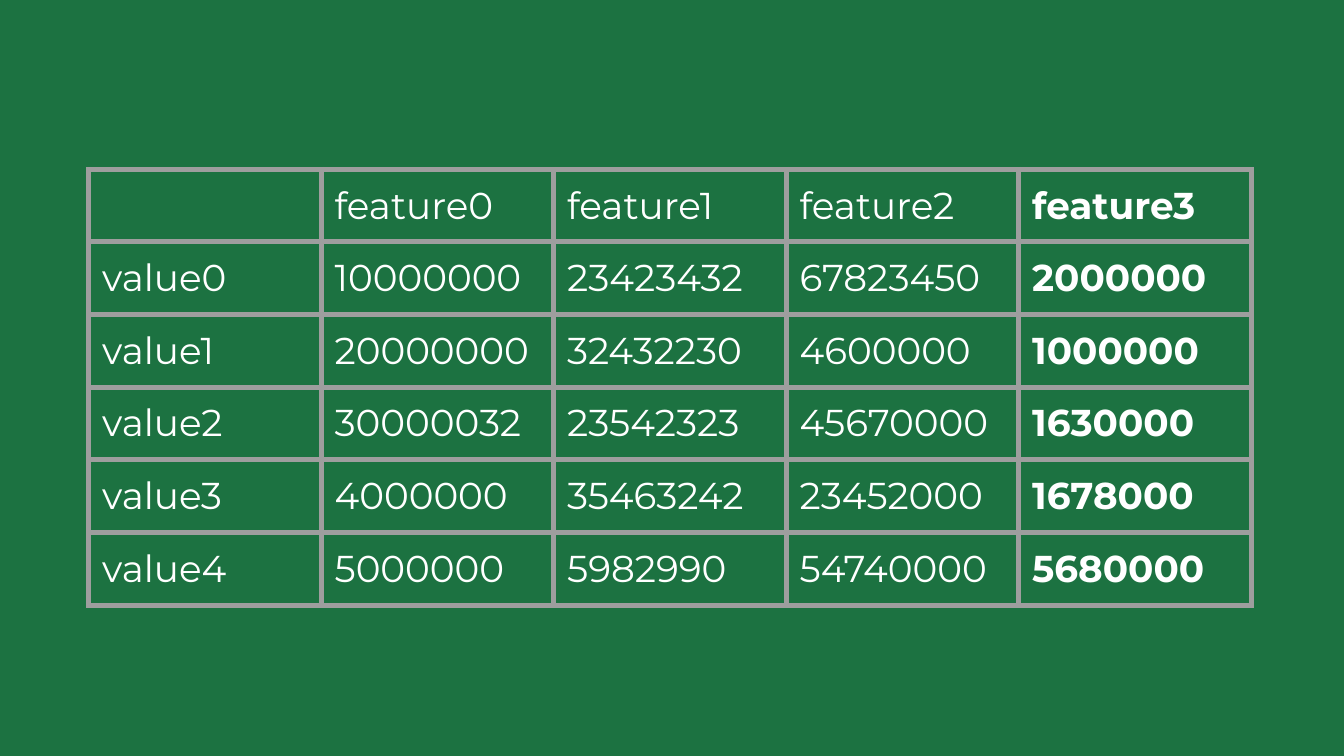
from dataclasses import dataclass

from lxml.etree import SubElement
from pptx import Presentation
from pptx.dml.color import RGBColor
from pptx.oxml.ns import qn
from pptx.util import Inches, Length, Pt

GREEN = RGBColor(0x1C, 0x72, 0x41)
WHITE = RGBColor(0xFF, 0xFF, 0xFF)
GREY = RGBColor(0x9E, 0x9E, 0x9E)
FONT = "Montserrat"


@dataclass(frozen=True)
class Grid:
    left: Length
    top: Length
    column_width: Length
    row_height: Length


GRID = Grid(Inches(0.66), Inches(1.26), Inches(1.73), Inches(0.54))

ROWS = [
    ("", "feature0", "feature1", "feature2", "feature3"),
    ("value0", "10000000", "23423432", "67823450", "2000000"),
    ("value1", "20000000", "32432230", "4600000", "1000000"),
    ("value2", "30000032", "23542323", "45670000", "1630000"),
    ("value3", "4000000", "35463242", "23452000", "1678000"),
    ("value4", "5000000", "5982990", "54740000", "5680000"),
]


def set_borders(cell, color: RGBColor, width: Length) -> None:
    """Draw all four sides of a cell; the lines must precede its fill."""
    properties = cell._tc.get_or_add_tcPr()
    for index, side in enumerate(("a:lnL", "a:lnR", "a:lnT", "a:lnB")):
        line = SubElement(properties, qn(side), w=str(int(width)))
        fill = SubElement(line, qn("a:solidFill"))
        SubElement(fill, qn("a:srgbClr"), val=str(color))
        properties.insert(index, line)


def write_cell(cell, text: str, *, bold: bool = False, size: int = 20,
               color: RGBColor = WHITE, margin: Length = Inches(0.1)) -> None:
    cell.margin_left = cell.margin_right = margin
    cell.margin_top = cell.margin_bottom = margin
    cell.fill.background()
    set_borders(cell, GREY, Pt(3))
    if text:
        span = cell.text_frame.paragraphs[0].add_run()
        span.text = text
        span.font.name = FONT
        span.font.size = Pt(size)
        span.font.bold = bold
        span.font.color.rgb = color


def add_feature_table(page, grid: Grid, rows: list[tuple[str, ...]]) -> None:
    row_count, column_count = len(rows), len(rows[0])
    table = page.shapes.add_table(
        row_count, column_count, grid.left, grid.top,
        grid.column_width * column_count, grid.row_height * row_count).table
    table.first_row = table.horz_banding = False
    for column in table.columns:
        column.width = grid.column_width
    for row, texts in zip(table.rows, rows):
        row.height = grid.row_height
        for index, (cell, text) in enumerate(zip(row.cells, texts)):
            # The last column is the emphasised one
            write_cell(cell, text, bold=index == column_count - 1)


def main() -> None:
    # Widescreen deck, 16:9
    deck = Presentation()
    deck.slide_width = Inches(10)
    deck.slide_height = deck.slide_width * 9 // 16

    # Blank page with a plain background
    page = deck.slides.add_slide(deck.slide_layouts[6])
    page.background.fill.solid()
    page.background.fill.fore_color.rgb = GREEN

    # Features by value
    add_feature_table(page, GRID, ROWS)
    deck.save("out.pptx")


if __name__ == "__main__":
    main()
